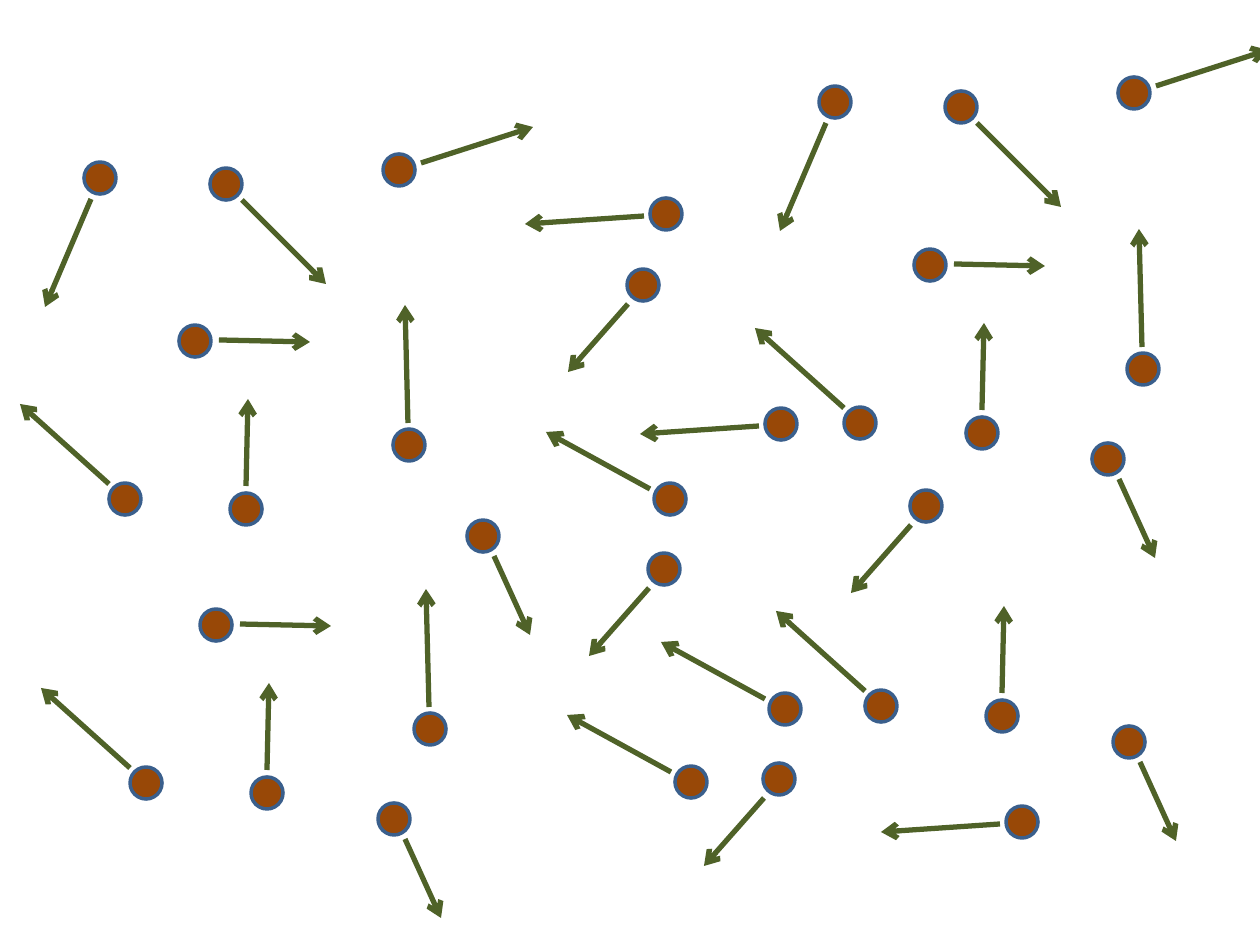
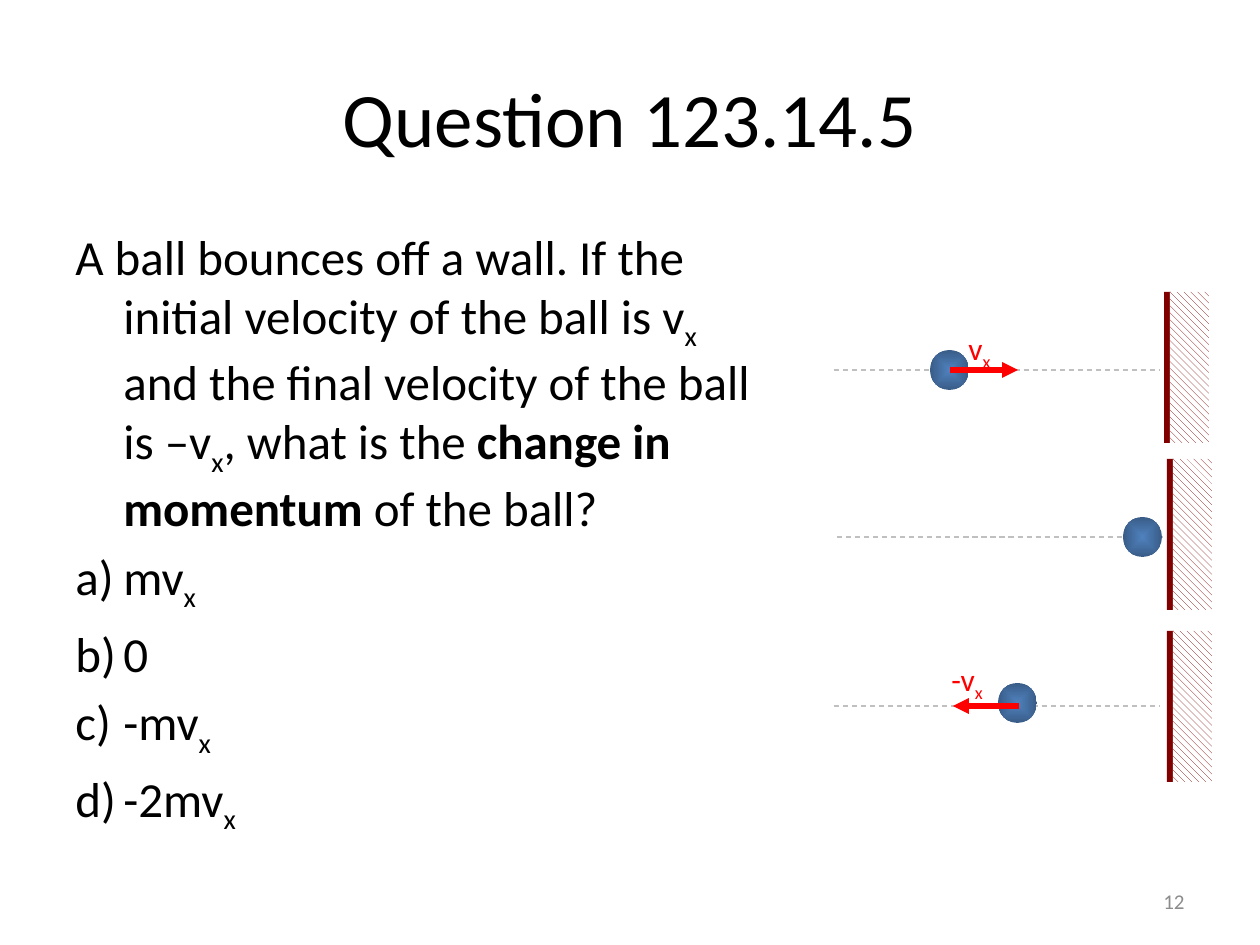
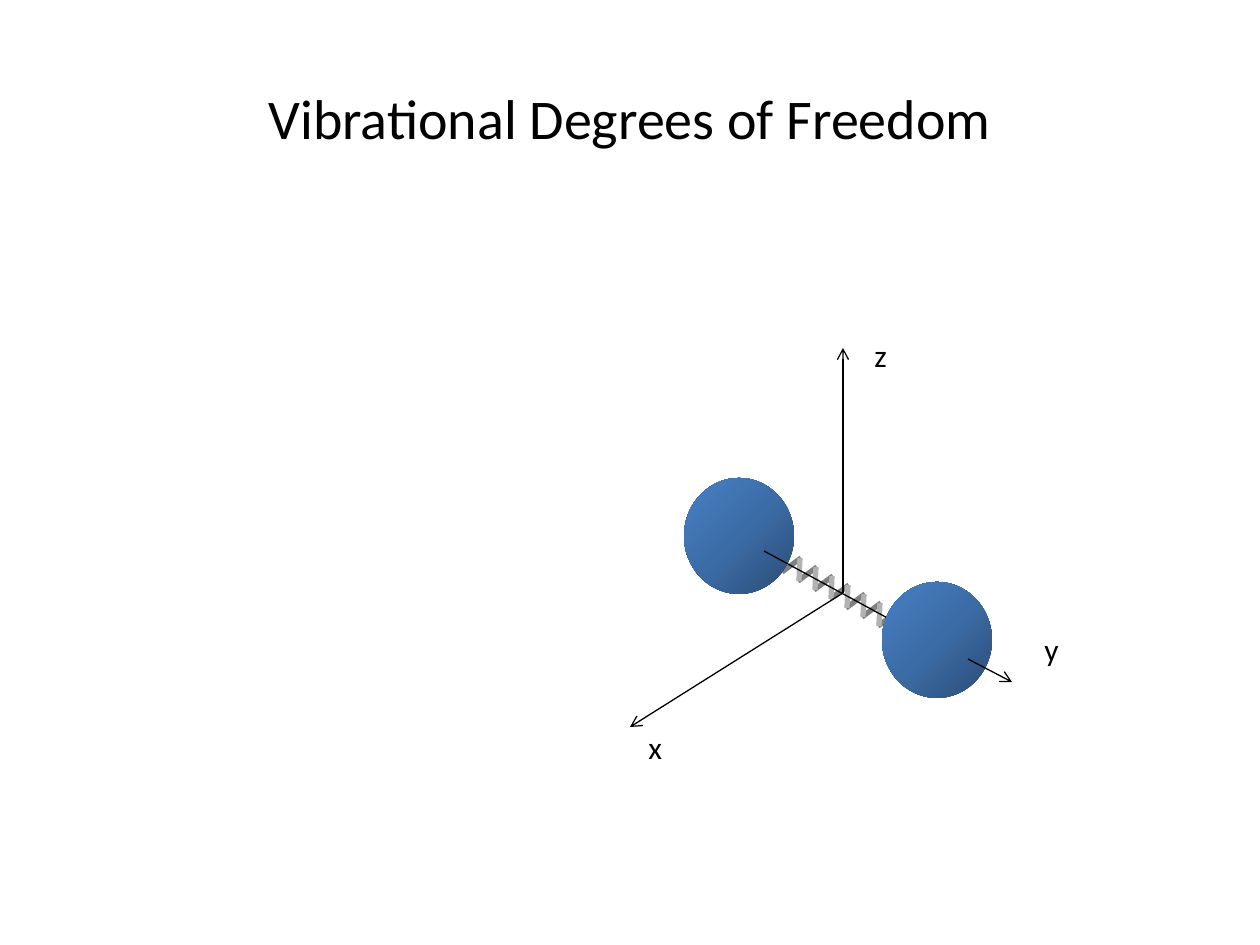
from lxml import etree
from pptx import Presentation
from pptx.dml.color import RGBColor
from pptx.enum.dml import MSO_LINE, MSO_PATTERN
from pptx.enum.shapes import MSO_CONNECTOR, MSO_SHAPE
from pptx.enum.text import MSO_ANCHOR, MSO_AUTO_SIZE, PP_ALIGN
from pptx.oxml.ns import qn
from pptx.util import Inches, Pt

PX = Inches(1) / 126
FONT = "Calibri"

BLACK = RGBColor(0x00, 0x00, 0x00)
WHITE = RGBColor(0xFF, 0xFF, 0xFF)
RED = RGBColor(0xFF, 0x00, 0x00)
BROWN = RGBColor(0x98, 0x48, 0x07)
BLUE_EDGE = RGBColor(0x3A, 0x5F, 0x8C)
DARK_GREEN = RGBColor(0x4F, 0x62, 0x28)
MAROON = RGBColor(0x80, 0x00, 0x00)
TRACK_GRAY = RGBColor(0xC0, 0xC0, 0xC0)
NUMBER_GRAY = RGBColor(0x8C, 0x8C, 0x8C)
COIL_DARK = RGBColor(0x80, 0x80, 0x80)
COIL_LIGHT = RGBColor(0xB2, 0xB2, 0xB2)
BALL_CENTER = RGBColor(0x4F, 0x81, 0xBD)
BALL_EDGE = RGBColor(0x39, 0x5C, 0x87)
ATOM_DARK = RGBColor(0x2A, 0x4C, 0x75)
ATOM_MIDDLE = RGBColor(0x3C, 0x6C, 0xA6)
ATOM_LIGHT = RGBColor(0x47, 0x80, 0xC5)

MOLECULE_RADIUS = 16
# Arrow start and end relative to the molecule's centre, then the centres.
MOLECULES = [
    ((16, 16), (100, 100), [(226, 184), (961, 107)]),
    ((-22, 2), (-141, 10), [(666, 214), (781, 424), (1022, 822)]),
    ((-1, -22), (-4, -140), [(409, 445), (1143, 369), (430, 729)]),
    ((-20, -10), (-124, -67), [(670, 499), (785, 709), (691, 782)]),
    ((0, -23), (2, -110), [(246, 509), (982, 433), (267, 793), (1002, 716)]),
    ((11, 20), (47, 99), [(483, 536), (1108, 459), (394, 819), (1129, 742)]),
    ((-15, 19), (-75, 87), [(643, 285), (926, 506), (664, 569), (779, 779)]),
    ((24, -1), (115, 1), [(195, 341), (930, 265), (216, 625)]),
    ((-16, -15), (-105, -95), [(125, 499), (860, 423), (146, 783), (881, 706)]),
    ((-9, 21), (-55, 129), [(100, 178), (835, 102)]),
    ((22, -7), (134, -43), [(399, 170), (1134, 93)]),
]

SUB_X = ("x", "sub")
QUESTION = ["A ball bounces off a wall. If the initial velocity of the ball is v", SUB_X,
            " and the final velocity of the ball is –v", SUB_X, ", what is the ",
            ("change in momentum ", "bold"), "of the ball?"]
ANSWERS = [["mv", SUB_X], ["0"], ["-mv", SUB_X], ["-2mv", SUB_X]]

COIL_COUNT = 8
COIL_STEP = (16, 9)


def px(*lengths):
    return [round(length * PX) for length in lengths]


def add_text(shapes, box, paragraphs, size=18, color=BLACK, align=PP_ALIGN.LEFT,
             anchor=MSO_ANCHOR.TOP, wrap=True, hanging=0, space_before=0, numbered_from=None):
    """Each paragraph is a list of strings and (text, "sub" or "bold") pairs."""
    frame = shapes.add_textbox(*px(*box)).text_frame
    frame.word_wrap = wrap
    frame.auto_size = MSO_AUTO_SIZE.NONE if wrap else MSO_AUTO_SIZE.SHAPE_TO_FIT_TEXT
    frame.vertical_anchor = anchor
    for index, pieces in enumerate(paragraphs):
        paragraph = frame.add_paragraph() if index else frame.paragraphs[0]
        paragraph.alignment = align
        if index and space_before:
            paragraph.space_before = Pt(space_before)
        properties = paragraph._p.get_or_add_pPr()
        if hanging:
            indent, = px(hanging)
            properties.set("marL", str(indent))
            properties.set("indent", str(-indent))
        if numbered_from is not None and index >= numbered_from:
            etree.SubElement(properties, qn("a:buAutoNum"), type="alphaLcParenR")
        for piece in pieces:
            text, style = (piece, None) if isinstance(piece, str) else piece
            run = paragraph.add_run()
            run.text = text
            run.font.name = FONT
            run.font.size = Pt(size)
            run.font.color.rgb = color
            run.font.bold = style == "bold"
            if style == "sub":
                run._r.get_or_add_rPr().set("baseline", "-25000")


def add_title(slide, text, size=44):
    add_text(slide.shapes, (63, 38, 1134, 158), [[text]], size=size,
             align=PP_ALIGN.CENTER, anchor=MSO_ANCHOR.MIDDLE)


def add_line(shapes, start, end, color, width, head=None, dash=None):
    connector = shapes.add_connector(MSO_CONNECTOR.STRAIGHT, *px(*start, *end))
    connector.line.color.rgb = color
    connector.line.width = Pt(width)
    if dash:
        connector.line.dash_style = dash
    properties = connector._element.spPr
    if head:
        etree.SubElement(properties.find(qn("a:ln")), qn("a:tailEnd"), type=head)
    etree.SubElement(properties, qn("a:effectLst"))


def add_plain_shape(shapes, kind, box):
    shape = shapes.add_shape(kind, *px(*box))
    shape.shadow.inherit = False
    shape.line.fill.background()
    return shape


def fill_gradient(shape, stops, angle=None):
    """Fill along an angle in degrees, or outwards from the centre without one."""
    gradient = etree.Element(qn("a:gradFill"), rotWithShape="1")
    stop_list = etree.SubElement(gradient, qn("a:gsLst"))
    for index, color in enumerate(stops):
        position = 100000 * index // (len(stops) - 1)
        stop = etree.SubElement(stop_list, qn("a:gs"), pos=str(position))
        etree.SubElement(stop, qn("a:srgbClr"), val=str(color))
    if angle is None:
        path = etree.SubElement(gradient, qn("a:path"), path="shape")
        etree.SubElement(path, qn("a:fillToRect"), dict.fromkeys("ltrb", "50000"))
    else:
        etree.SubElement(gradient, qn("a:lin"), ang=str(angle * 60000), scaled="1")
    shape._element.spPr.find(qn("a:prstGeom")).addnext(gradient)


def add_group(slide):
    return slide.shapes.add_group_shape().shapes


def draw_molecule(shapes, center, arrow_start, arrow_end):
    x, y = center
    diameter = 2 * MOLECULE_RADIUS
    ball = add_plain_shape(shapes, MSO_SHAPE.OVAL,
                           (x - MOLECULE_RADIUS, y - MOLECULE_RADIUS, diameter, diameter))
    ball.fill.solid()
    ball.fill.fore_color.rgb = BROWN
    ball.line.color.rgb = BLUE_EDGE
    ball.line.width = Pt(2)
    start, end = [(x + dx, y + dy) for dx, dy in (arrow_start, arrow_end)]
    add_line(shapes, start, end, DARK_GREEN, 3, head="arrow")


def draw_wall(shapes, left, top):
    height = 151
    face = add_plain_shape(shapes, MSO_SHAPE.RECTANGLE, (left, top, 7, height))
    face.fill.solid()
    face.fill.fore_color.rgb = MAROON
    hatching = add_plain_shape(shapes, MSO_SHAPE.RECTANGLE, (left + 6, top, 39, height))
    hatching.fill.patterned()
    hatching.fill.pattern = MSO_PATTERN.WIDE_DOWNWARD_DIAGONAL
    hatching.fill.fore_color.rgb = MAROON
    hatching.fill.back_color.rgb = WHITE


def draw_bounce(shapes, left, top, ball, wall=330, track=78, velocity=None,
                label=None, label_box=None):
    """One stage of the bounce; all positions count from its left and top."""
    track_y = top + track
    add_line(shapes, (left, track_y), (left + 326, track_y), TRACK_GRAY, 0.75,
             dash=MSO_LINE.DASH)
    draw_wall(shapes, left + wall, top)
    ball_left, ball_top = ball
    oval = add_plain_shape(shapes, MSO_SHAPE.OVAL, (left + ball_left, top + ball_top, 39, 40))
    fill_gradient(oval, [BALL_CENTER, BALL_EDGE])
    if velocity:
        start, end = [(left + x, track_y) for x in velocity]
        add_line(shapes, start, end, RED, 3, head="triangle")
        x, y, width = label_box
        add_text(shapes, (left + x, top + y, width, 50), [[label, SUB_X]],
                 color=RED, wrap=False)


def draw_spring(shapes, left, top):
    for index in reversed(range(COIL_COUNT)):
        x, y = left + index * COIL_STEP[0], top + index * COIL_STEP[1]
        add_line(shapes, (x, y), (x + 19, y - 14), COIL_DARK, 3)
        add_line(shapes, (x + 17, y + 9), (x + 18, y - 14), COIL_LIGHT, 3)


def draw_diatomic_molecule(slide, left, top):
    """Two atoms joined by a spring along the y axis."""
    draw_spring(add_group(slide), left + 152, top + 242)
    shapes = add_group(slide)

    def axis(start, end, head="arrow"):
        start, end = [(left + x, top + y) for x, y in (start, end)]
        add_line(shapes, start, end, BLACK, 0.75, head=head)

    def atom(x, y):
        oval = add_plain_shape(shapes, MSO_SHAPE.OVAL, (left + x, top + y, 110, 116))
        fill_gradient(oval, [ATOM_DARK, ATOM_MIDDLE, ATOM_LIGHT], angle=225)

    origin = (213, 263)
    atom(54, 148)
    axis(origin, (213, 18))
    axis(origin, (0, 397))
    axis((134, 221), (263, 291), head=None)
    atom(252, 252)
    axis((338, 329), (382, 352))
    for name, x, y in (("x", 6, 392), ("y", 402, 294), ("z", 232, 0)):
        add_text(shapes, (left + x, top + y, 42, 50), [[name]], wrap=False)


def build_gas_slide(slide):
    for arrow_start, arrow_end, centers in MOLECULES:
        for center in centers:
            draw_molecule(add_group(slide), center, arrow_start, arrow_end)


def build_question_slide(slide):
    add_title(slide, "Question 123.14.5")
    add_text(slide.shapes, (63, 220, 716, 624), [QUESTION, *ANSWERS], size=28,
             hanging=48, space_before=5.6, numbered_from=1)
    add_text(slide.shapes, (903, 876, 294, 50), [["12"]], size=12, color=NUMBER_GRAY,
             align=PP_ALIGN.RIGHT, anchor=MSO_ANCHOR.MIDDLE)
    shapes = add_group(slide)
    draw_bounce(shapes, 834, 292, ball=(96, 58), velocity=(116, 184),
                label="v", label_box=(122, 31, 52))
    draw_bounce(shapes, 837, 459, ball=(286, 58))
    draw_bounce(shapes, 834, 631, ball=(164, 52), wall=333, track=75, velocity=(185, 119),
                label="-v", label_box=(105, 23, 62))


def build_vibration_slide(slide):
    add_title(slide, "Vibrational Degrees of Freedom", size=32)
    draw_diatomic_molecule(slide, 630, 330)


def main():
    presentation = Presentation()
    presentation.slide_width = Inches(10)
    presentation.slide_height = Inches(7.5)
    blank_layout = presentation.slide_layouts[6]
    for build in (build_gas_slide, build_question_slide, build_vibration_slide):
        build(presentation.slides.add_slide(blank_layout))
    presentation.save("out.pptx")


if __name__ == "__main__":
    main()
